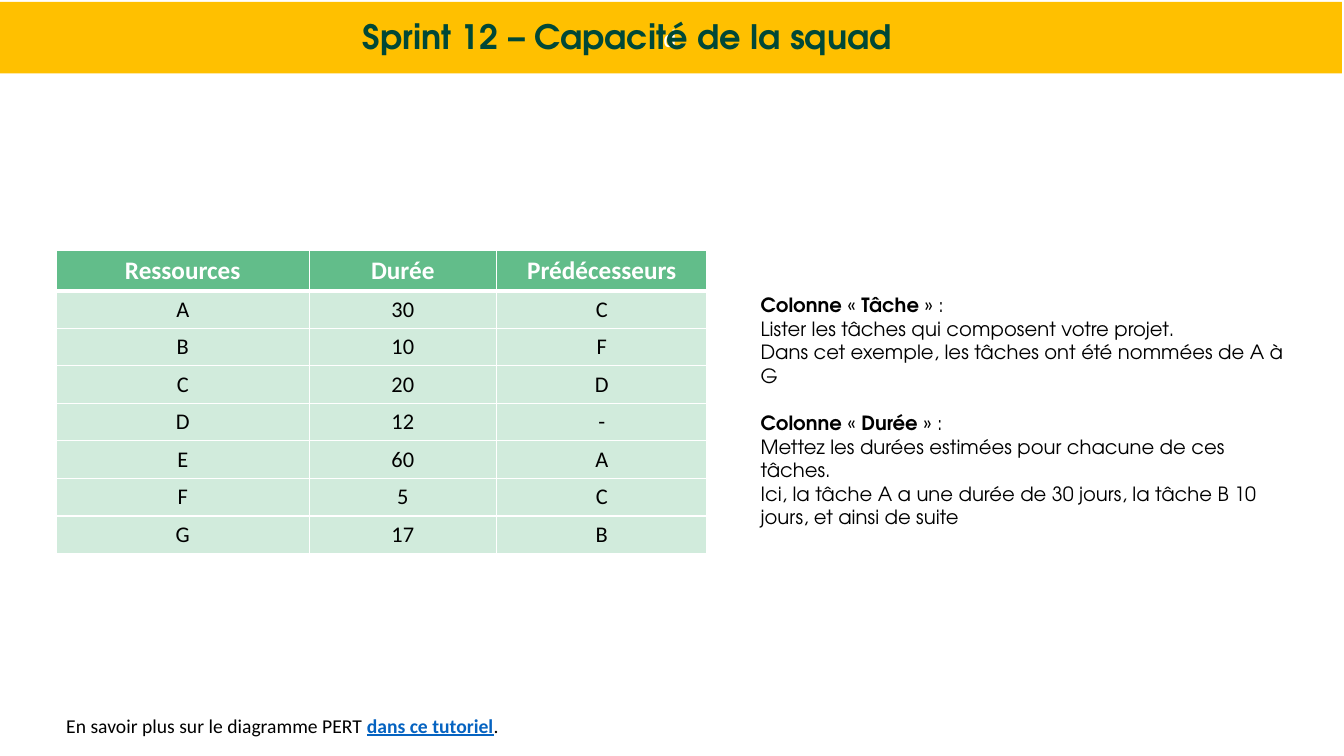
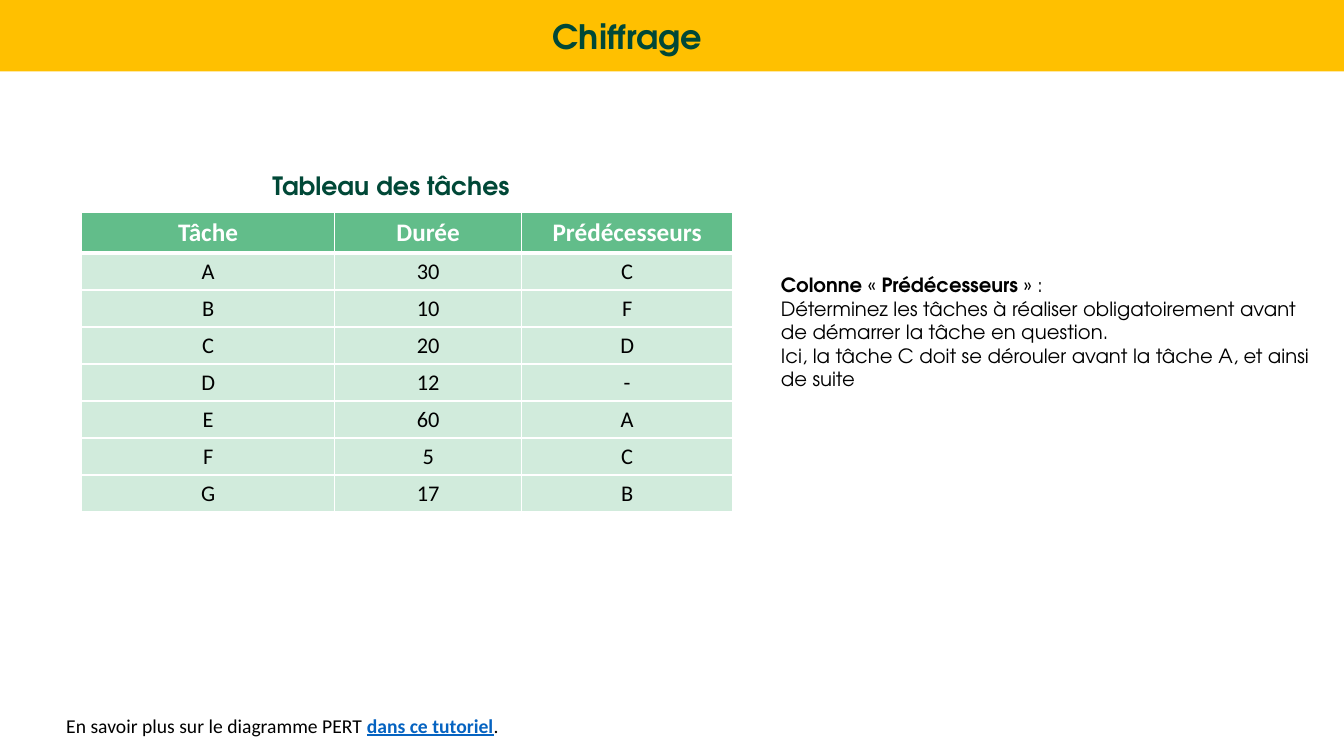
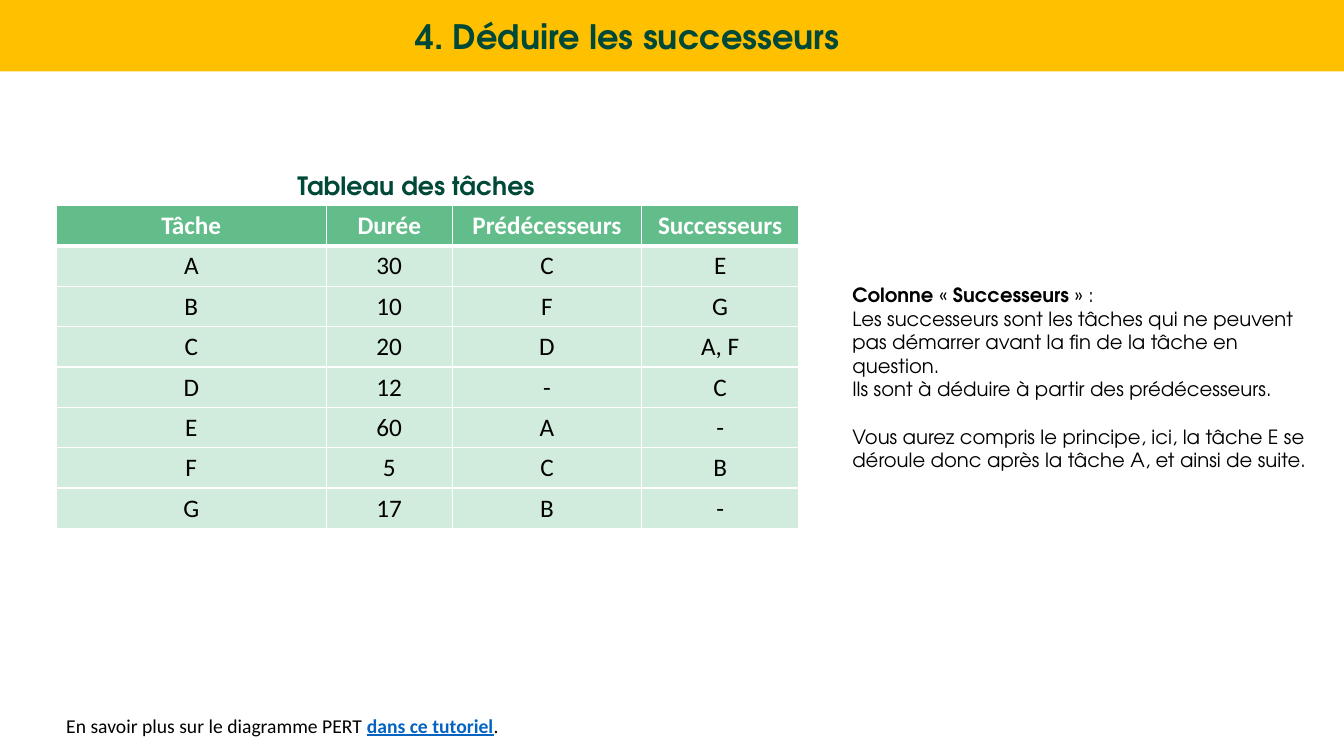
"""Build three slides on task planning: a title band, a task table, a note and a footer."""
from pptx import Presentation
from pptx import util as u
from pptx.dml.color import RGBColor
from pptx.enum import shapes, text
from pptx.oxml import parse_xml
from pptx.oxml.ns import nsdecls

AMBER, FOREST, GREEN, MINT = "FFC000", "004837", "62BD8A", "D1EBDC"
WHITE, BLACK, LINK_BLUE = "FFFFFF", "000000", "0563C1"
DISPLAY, BODY = "TeX Gyre Adventor", "Calibri"

# Text styles: font attributes, plus "color" as a hex string
TITLE = dict(name=DISPLAY, size=u.Pt(24), bold=True, color=FOREST)
CAPTION = dict(TITLE, size=u.Pt(18))
NOTE = dict(name=DISPLAY, size=u.Pt(14), bold=False, color=BLACK)
FOOTER = dict(NOTE, name=BODY)
LINK = dict(FOOTER, bold=True, underline=True, color=LINK_BLUE)
BAND = dict(name=BODY, size=u.Pt(18), color=WHITE)
HEADER = dict(BAND, bold=True)
CELL = dict(name=BODY, bold=False, color=BLACK)

CENTER = dict(alignment=text.PP_ALIGN.CENTER)
LINE_GAP = u.Pt(17)
ROW_HEIGHT = 0.92
BAND_HEIGHT = 1.8

# Boxes are left, top, width, height in centimetres
SLIDE_SIZE = (33.87, 19.05)
TITLE_BOX = (4.24, 0.33, 23.14, 1.27)
FOOTER_BOX = (1.42, 17.86, 26.26, 0.86)

TASKS = [("A", "30", "C"), ("B", "10", "F"), ("C", "20", "D"), ("D", "12", "-"),
         ("E", "60", "A"), ("F", "5", "C"), ("G", "17", "B")]
SUCCESSORS = ["E", "G", "A, F", "C", "-", "B", "-"]


def rgb(value):
    """Return the colour for a hex string."""
    return RGBColor.from_string(value)


def cm(values):
    """Turn centimetre numbers into lengths."""
    return [u.Cm(value) for value in values]


def assign(target, values):
    """Set each attribute in values on target."""
    for name, value in values.items():
        setattr(target, name, value)


def write(para, content, style, accent=None, **layout):
    """Fill a paragraph; parts between asterisks take the accent style."""
    assign(para, layout)
    accent = accent or dict(style, bold=True)
    for index, part in enumerate(content.split("*")):
        if part:
            span = para.add_run()
            span.text = part
            look = dict(accent if index % 2 else style)
            span.font.color.rgb = rgb(look.pop("color"))
            assign(span.font, look)


def add_text(page, box, lines, style, accent=None, anchor=text.MSO_ANCHOR.TOP, **layout):
    """Add a wrapping text box; a line that starts with a newline gets a gap above."""
    frame = page.shapes.add_textbox(*cm(box)).text_frame
    assign(frame, dict(word_wrap=True, vertical_anchor=anchor))
    for index, line in enumerate(lines):
        para = frame.add_paragraph() if index else frame.paragraphs[0]
        gap = dict(space_before=LINE_GAP) if line.startswith("\n") else {}
        write(para, line.lstrip("\n"), style, accent, **layout, **gap)


def add_band(page, shift=0, label=""):
    """Add the amber band across the top, moved left and down by shift."""
    box = cm((-shift, shift, SLIDE_SIZE[0], BAND_HEIGHT))
    band = page.shapes.add_shape(shapes.MSO_SHAPE.RECTANGLE, *box)
    band.shadow.inherit = False
    band.fill.solid()
    band.fill.fore_color.rgb = rgb(AMBER)
    band.line.fill.background()
    band.text_frame.vertical_anchor = text.MSO_ANCHOR.MIDDLE
    write(band.text_frame.paragraphs[0], label, BAND, **CENTER)


def style_cell(cell, fill, top=1, bottom=1):
    """Give a cell its fill and white borders, widths in points."""
    widths = dict(lnL=1, lnR=1, lnT=top, lnB=bottom)
    for tag, width in widths.items():
        cell._tc.get_or_add_tcPr().append(parse_xml(
            f'<a:{tag} {nsdecls("a")} w="{u.Pt(width)}"><a:solidFill>'
            f'<a:srgbClr val="{WHITE}"/></a:solidFill></a:{tag}>'))
    cell.fill.solid()
    cell.fill.fore_color.rgb = rgb(fill)


def add_task_table(page, corner, widths, rows, size):
    """Add a task table at corner; the first row is the header."""
    box = cm((*corner, sum(widths), ROW_HEIGHT * len(rows)))
    table = page.shapes.add_table(len(rows), len(widths), *box).table
    table.horz_banding = False
    for column, width in zip(table.columns, widths):
        column.width = u.Cm(width)
    for index, (row, values) in enumerate(zip(table.rows, rows)):
        row.height = u.Cm(ROW_HEIGHT)
        for cell, value in zip(row.cells, values):
            if index == 0:
                style_cell(cell, GREEN, bottom=3)
            else:
                style_cell(cell, MINT, top=3 if index == 1 else 1)
            style = dict(CELL, size=u.Pt(size)) if index else HEADER
            write(cell.text_frame.paragraphs[0], value, style, **CENTER)


def add_task_slide(deck, title, table, note_box, note, caption_left=None, band=None):
    """Add a slide with band, title, task table, note, footer and optional caption."""
    page = deck.slides.add_slide(deck.slide_layouts[6])
    add_task_table(page, **table)
    add_text(page, note_box, note, NOTE)
    add_band(page, **(band or {}))
    add_text(page, FOOTER_BOX,
             ["En savoir plus sur le diagramme PERT *dans ce tutoriel*."], FOOTER, LINK)
    add_text(page, TITLE_BOX, [title], TITLE, anchor=text.MSO_ANCHOR.MIDDLE,
             line_spacing=0.9, **CENTER)
    if caption_left is not None:
        add_text(page, (caption_left, 4.17, 9.19, 1.02), ["Tableau des tâches"],
                 CAPTION, **CENTER)


def note_heading(column):
    """Return the heading line of a note about a table column."""
    return f"*Colonne* «\u00a0*{column}*\u00a0» :"


def main():
    """Build and save the deck."""
    deck = Presentation()
    deck.slide_width, deck.slide_height = cm(SLIDE_SIZE)
    three_columns = (6.37, 4.72, 5.31)
    measures = ("Durée", "Prédécesseurs")

    add_task_slide(
        deck, "Sprint 12 – Capacité de la squad",
        dict(corner=(1.42, 6.3), widths=three_columns, size=16,
             rows=[("Ressources", *measures), *TASKS]),
        (18.92, 7.26, 13.97, 6.25),
        [note_heading("Tâche"),
         "Lister les tâches qui composent votre projet.",
         "Dans cet exemple, les tâches ont été nommées de A à G",
         "\n" + note_heading("Durée"),
         "Mettez les durées estimées pour chacune de ces tâches.",
         "Ici, la tâche A a une durée de 30 jours, la tâche B 10 jours, et ainsi de suite"],
        band=dict(shift=0.05, label="d"))

    add_task_slide(
        deck, "Chiffrage",
        dict(corner=(2.06, 5.36), widths=three_columns, size=16,
             rows=[("Tâche", *measures), *TASKS]),
        (19.43, 6.76, 13.97, 3.25),
        [note_heading("Prédécesseurs"),
         "Déterminez les tâches à réaliser obligatoirement avant de démarrer "
         "la tâche en question.",
         "Ici, la tâche C doit se dérouler avant la tâche A, et ainsi de suite"],
        caption_left=5.26)

    add_task_slide(
        deck, "4. Déduire les successeurs",
        dict(corner=(1.42, 5.18), widths=(6.8, 3.18, 4.77, 3.96), size=18,
             rows=[("Tâche", *measures, "Successeurs"),
                   *((*task, after) for task, after in zip(TASKS, SUCCESSORS))]),
        (21.23, 7.01, 11.96, 5.64),
        [note_heading("Successeurs"),
         "Les successeurs sont les tâches qui ne peuvent pas démarrer avant la fin "
         "de la tâche en question.",
         "Ils sont à déduire à partir des prédécesseurs.",
         "\nVous aurez compris le principe, ici, la tâche E se déroule donc après "
         "la tâche A, et ainsi de suite."],
        caption_left=5.89)

    deck.save("out.pptx")


main()
